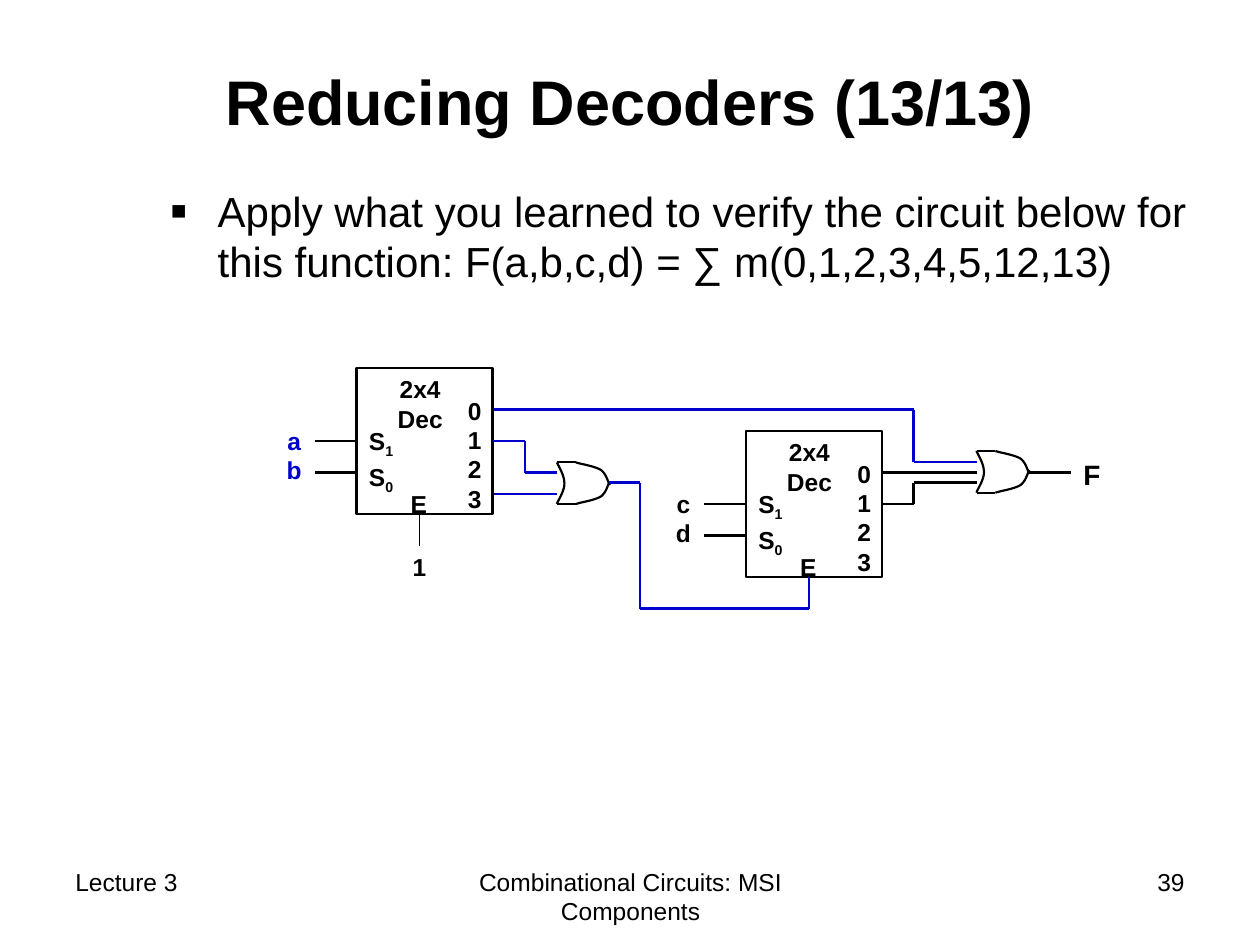
from itertools import pairwise

from lxml.etree import SubElement
from pptx import Presentation
from pptx.dml.color import RGBColor
from pptx.enum.shapes import MSO_CONNECTOR, MSO_SHAPE
from pptx.enum.text import MSO_ANCHOR, PP_ALIGN
from pptx.oxml.ns import qn
from pptx.util import Inches, Pt

COLORS = {"ink": "000000", "signal": "0000CC"}
FONT = "Arial"
LEFT, CENTER, RIGHT = PP_ALIGN.LEFT, PP_ALIGN.CENTER, PP_ALIGN.RIGHT
DEC_W, DEC_H = 1.08, 1.16
GATE_H = 0.33
TOP_EDGE = [
    [(0.15, 0), (0.22, 0.02), (0.3, 0.03), (0.35, 0.06)],
    [(0.35, 0.06), (0.39, 0.09), (0.4, 0.14), (0.42, 0.18)],
]
BACK_EDGE = [
    [(0, 0), (0.03, 0.06), (0.06, 0.11), (0.06, 0.17)],
    [(0.06, 0.17), (0.06, 0.23), (0.01, 0.3), (0, GATE_H)],
]


def rgb(name):
    return RGBColor.from_string(COLORS[name])


def add_text(s, box, lines, size=14, bold=True, align=CENTER, color="ink", gap=0):
    sp = s.shapes.add_textbox(*map(Inches, box))
    tf = sp.text_frame
    tf.word_wrap = True
    for i, runs in enumerate(lines):
        p = tf.add_paragraph() if i else tf.paragraphs[0]
        p.alignment = align
        if i and gap:
            p.space_before = Pt(gap)
        for j, text in enumerate(runs):
            r = p.add_run()
            r.text = text
            r.font.name = FONT
            r.font.size = Pt(size)
            r.font.bold = bold
            r.font.color.rgb = rgb(color)
            if j:
                r._r.get_or_add_rPr().set("baseline", "-25000")
    return tf


def add_wire(s, points, color="ink", width=1.25):
    wires = []
    for start, end in pairwise(points):
        c = s.shapes.add_connector(MSO_CONNECTOR.STRAIGHT, *map(Inches, start + end))
        c.line.color.rgb = rgb(color)
        c.line.width = Pt(width)
        SubElement(c._element.spPr, qn("a:effectLst"))
        wires.append(c)
    return wires


def bezier(curve, steps=10):
    for i in range(steps + 1):
        t = i / steps
        weights = ((1 - t) ** 3, 3 * t * (1 - t) ** 2, 3 * t * t * (1 - t), t ** 3)
        yield tuple(sum(w * pt[k] for w, pt in zip(weights, curve)) for k in (0, 1))


def add_curve(s, x, y, curves):
    points = [(Inches(x + px), Inches(y + py)) for c in curves for px, py in bezier(c)]
    builder = s.shapes.build_freeform(*points[0])
    builder.add_line_segments(points[1:], close=False)
    sp = builder.convert_to_shape()
    sp.shadow.inherit = False
    sp.fill.background()
    sp.line.color.rgb = rgb("ink")
    sp.line.width = Pt(1.25)


def add_or_gate(s, x, y):
    bottom_edge = [[(px, GATE_H - py) for px, py in c] for c in TOP_EDGE]
    for curves in (BACK_EDGE, TOP_EDGE, bottom_edge):
        add_curve(s, x, y, curves)
    for edge in (y, y + GATE_H):
        add_wire(s, [(x, edge), (x + 0.15, edge)])


def add_decoder(s, x, y, inputs, color):
    sp = s.shapes.add_shape(MSO_SHAPE.RECTANGLE, *map(Inches, (x, y, DEC_W, DEC_H)))
    sp.shadow.inherit = False
    sp.fill.background()
    sp.line.color.rgb = rgb("ink")
    sp.line.width = Pt(1.5)
    add_text(s, (x + 0.09, y, 0.83, 0.57), [["2x4"], ["Dec"]])
    add_text(s, (x, y + 0.41, 0.46, 0.66), [["S", "1"], ["S", "0"]], align=LEFT, gap=1.8)
    add_text(s, (x + 0.67, y + 0.17, 0.42, 1.04), [[d] for d in "0123"], align=RIGHT)
    add_text(s, (x + 0.33, y + 0.91, 0.33, 0.34), [["E"]])
    add_text(s, (x - 0.66, y + 0.41, 0.33, 0.57), [[v] for v in inputs], color=color)
    for i, pin_y in enumerate((y + DEC_H / 2, y + 0.83)):
        wire = add_wire(s, [(x - 0.33, pin_y), (x, pin_y)])[0]
        if i == 0:
            wire.end_connect(sp, 1)
    return sp


def add_circuit(s, x, y):
    def at(*points):
        return [(x + px, y + py) for px, py in points]

    first = add_decoder(s, x + 0.66, y, "ab", "signal")
    second = add_decoder(s, x + 3.75, y + 0.5, "cd", "ink")
    add_or_gate(s, x + 2.25, y + 0.75)
    add_or_gate(s, x + 5.58, y + 0.66)

    add_wire(s, at((1.75, 0.33), (5.08, 0.33), (5.08, 0.75), (5.58, 0.75)), "signal")
    wires = add_wire(s, at((1.75, 0.58), (2, 0.58), (2, 0.83), (2.25, 0.83)), "signal")
    wires[0].begin_connect(first, 3)
    add_wire(s, at((1.75, 1), (2.25, 1)), "signal")
    add_wire(s, at((2.66, 0.91), (2.91, 0.91), (2.91, 1.91), (4.25, 1.91), (4.25, 1.66)), "signal")
    add_wire(s, at((4.83, 0.83), (5.58, 0.83)))
    wires = add_wire(s, at((4.83, 1.08), (5.08, 1.08), (5.08, 0.91), (5.58, 0.91)))
    wires[0].begin_connect(second, 3)
    add_wire(s, at((6, 0.83), (6.33, 0.83)))
    add_wire(s, at((1.16, 1.16), (1.16, 1.41)), width=0.75)

    add_text(s, (x + 0.91, y + 1.41, 0.5, 0.34), [["1"]])
    add_text(s, (x + 6.33, y + 0.66, 0.33, 0.37), [["F"]], size=16, align=LEFT)


def add_title(s, box):
    tf = add_text(s, box, [["Reducing Decoders (13/13)"]], size=36)
    tf.vertical_anchor = MSO_ANCHOR.MIDDLE


def add_body(s, box):
    text = ("Apply what you learned to verify the circuit below for this function: "
            "F(a,b,c,d) = ∑ m(0,1,2,3,4,5,12,13)")
    tf = add_text(s, box, [[text]], size=24, bold=False, align=LEFT)
    pPr = tf.paragraphs[0]._p.get_or_add_pPr()
    pPr.set("marL", str(Inches(0.38)))
    pPr.set("indent", str(Inches(-0.38)))
    color = SubElement(pPr, qn("a:buClr"))
    SubElement(color, qn("a:srgbClr"), val=COLORS["ink"])
    SubElement(pPr, qn("a:buSzPct"), val="120000")
    SubElement(pPr, qn("a:buFont"), typeface=FONT)
    SubElement(pPr, qn("a:buChar"), char="▪")


def add_footer(s, y, h):
    parts = [
        (0.5, 2.33, "Lecture 3", LEFT),
        (3.42, 3.17, "Combinational Circuits: MSI Components", CENTER),
        (7.17, 2.33, "39", RIGHT),
    ]
    for x, w, text, align in parts:
        add_text(s, (x, y, w, h), [[text]], bold=False, align=align)


def main():
    prs = Presentation()
    prs.slide_width, prs.slide_height = Inches(10), Inches(7.5)
    s = prs.slides.add_slide(prs.slide_layouts[6])
    add_footer(s, 6.83, 0.52)
    add_title(s, (0.75, 0.17, 8.5, 1.25))
    add_body(s, (1.25, 1.42, 8.5, 0.92))
    add_circuit(s, 2.17, 2.92)
    prs.save("out.pptx")


if __name__ == "__main__":
    main()
